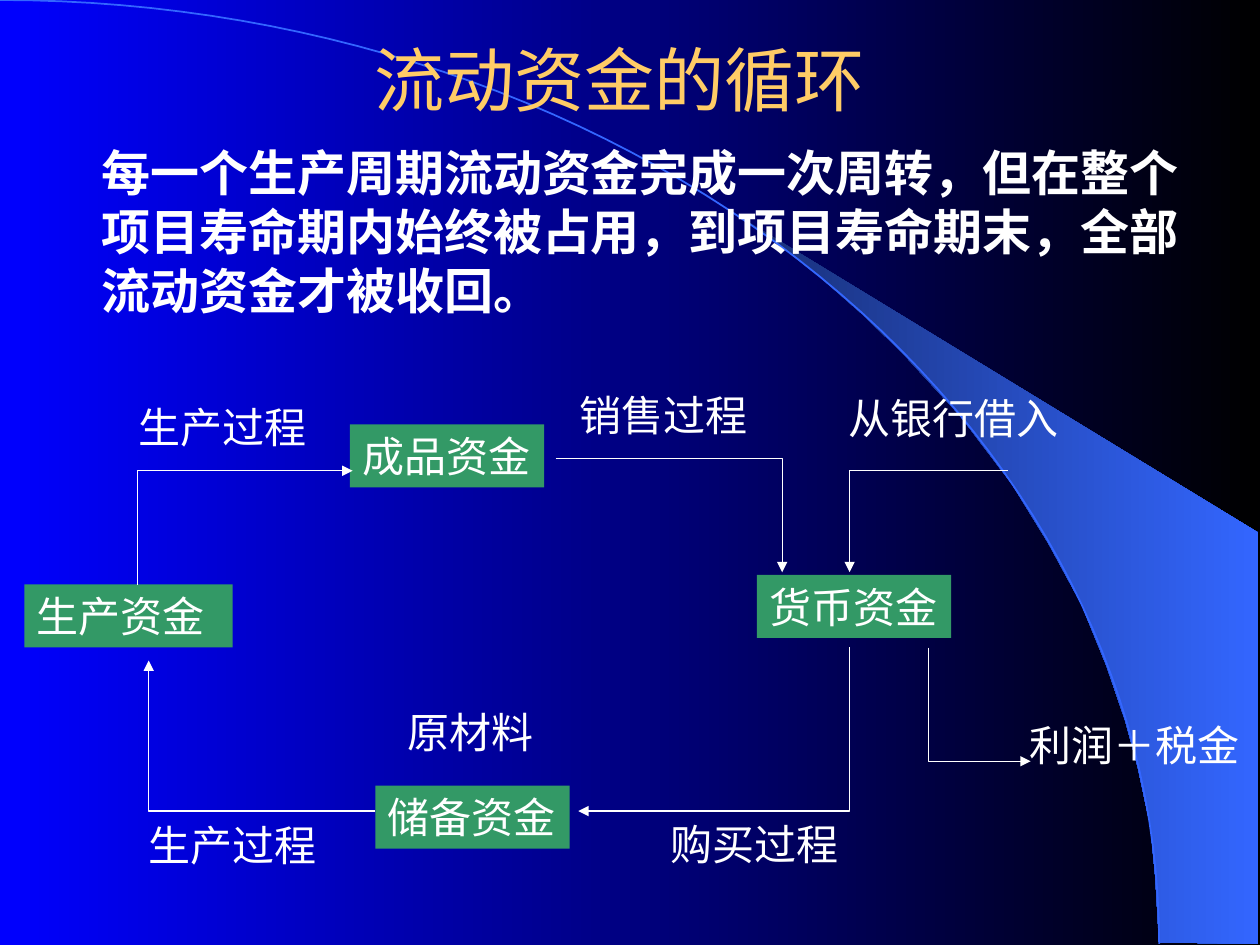
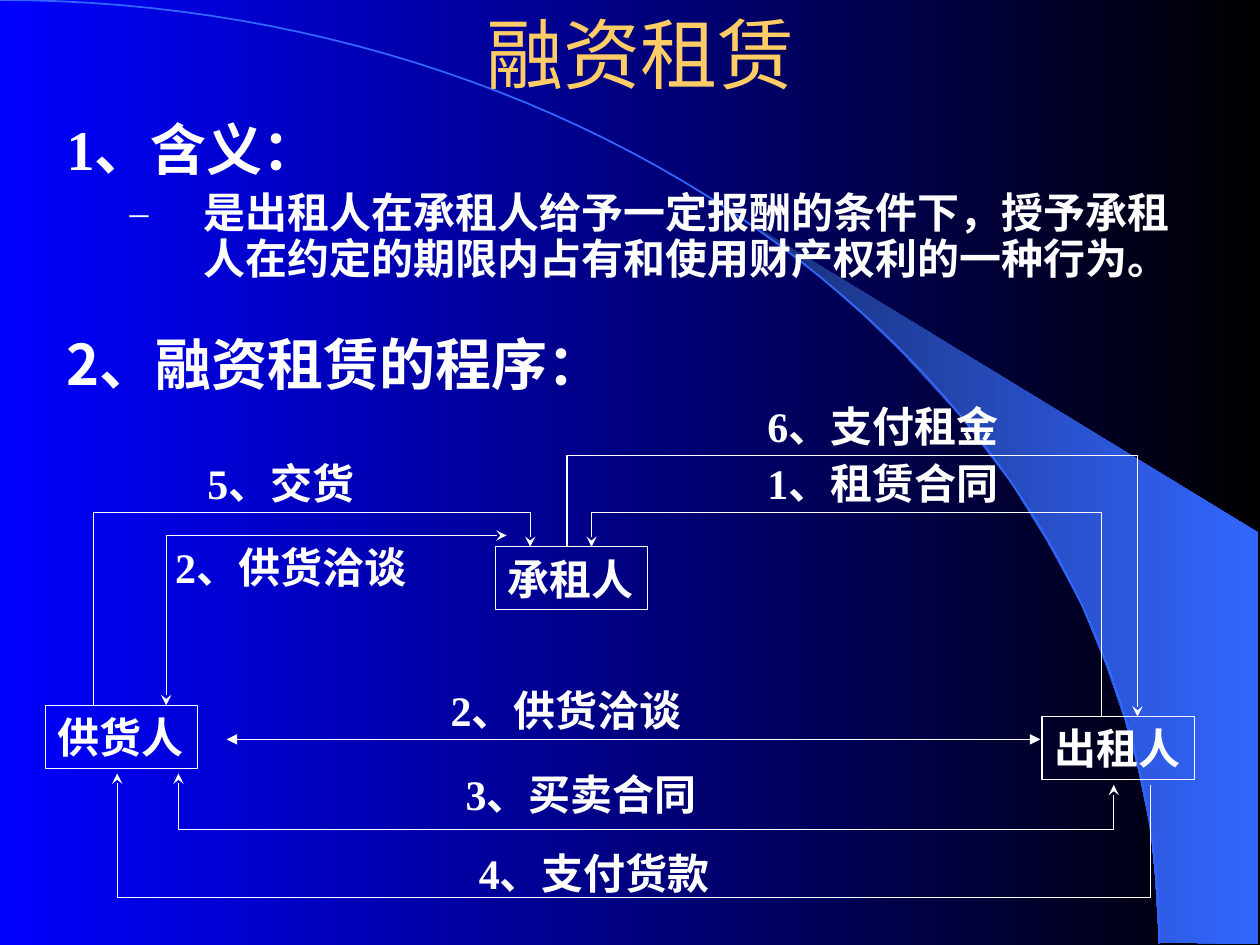
import math
import pptx
import pptx.dml.color
import pptx.enum.shapes
import pptx.enum.text
import pptx.oxml.ns
import pptx.util

Pt = pptx.util.Pt
RGB = pptx.dml.color.RGBColor.from_string
Align = pptx.enum.text.PP_ALIGN
Anchor = pptx.enum.text.MSO_ANCHOR
qn = pptx.oxml.ns.qn


class Theme:
    blue, black = RGB("0000FF"), RGB("000000")
    navy, sky = RGB("182F76"), RGB("3366FF")
    gold, white, green = RGB("FFCC66"), RGB("FFFFFF"), RGB("339966")
    serif, sans, hei = "Times New Roman", "Arial", "Noto Sans CJK SC"
    head, body, label = 32, 28, 24
    thin, arc = 0.75, 1


def write(para, text, size, font=Theme.serif, color=Theme.white, bold=False):
    """Add one run: the given font for Latin, the sans one for Chinese."""
    run = para.add_run()
    run.text = text
    run.font.size = Pt(size)
    run.font.bold = bold
    run.font.color.rgb = color
    run.font.name = font
    props = run._r.get_or_add_rPr()
    props.append(props.makeelement(qn("a:ea"), {"typeface": Theme.hei}))


def frame(slide, left, top, width, height):
    """Add a wrapping text box and return its text frame."""
    box = slide.shapes.add_textbox(Pt(left), Pt(top), Pt(width), Pt(height))
    box.text_frame.word_wrap = True
    return box.text_frame


deck = pptx.Presentation()
deck.slide_width, deck.slide_height = Pt(720), Pt(540)
blank = deck.slide_layouts[6]
cycle, lease = [deck.slides.add_slide(blank) for _ in range(2)]

# Shared backdrop: gradient, wedge and arc on the master
master = deck.slide_master
wedge = [(662.4, 538.6), (719.3, 539.3), (719.3, 304.6), (424.1, 124.6),
         (449.3, 143.3), (470.2, 159.8), (493.2, 180), (515.5, 201.6),
         (548.6, 237.6), (578.2, 276.5), (599, 310.3), (617.8, 344.9),
         (632.2, 380.2), (643, 411.8), (650.2, 438.5), (657.4, 472.3),
         (660.2, 501.1), (662.4, 538.6)]
steps = 60
turns = [math.pi / 2 * i / steps for i in range(steps + 1)]
arc = [(662.4 * math.sin(t), 539.3 * (1 - math.cos(t))) for t in turns]
decor = []
for points in (wedge, arc):
    first, *rest = [(Pt(x), Pt(y)) for x, y in points]
    path = cycle.shapes.build_freeform(*first)
    path.add_line_segments(rest, close=points is wedge)
    shape = path.convert_to_shape()
    shape.shadow.inherit = False
    decor.append(shape)
decor[0].line.fill.background()
decor[1].fill.background()
decor[1].line.color.rgb = Theme.sky
decor[1].line.width = Pt(Theme.arc)
for fill, start, end in ((master.background.fill, Theme.blue, Theme.black),
                         (decor[0].fill, Theme.navy, Theme.sky)):
    fill.gradient()
    fill.gradient_angle = 0
    for stop, color in zip(fill.gradient_stops, (start, end)):
        stop.color.rgb = color
for shape in decor:
    master.shapes.element.append(shape.element)

# Titles
for slide, text, size, font, left, width, height in (
        (cycle, "流动资金的循环", 40, Theme.hei, 48, 612, 90),
        (lease, "融资租赁", 44, Theme.sans, 54, 624, 60)):
    title = frame(slide, left, 0, width, height)
    title.vertical_anchor = Anchor.MIDDLE
    title.paragraphs[0].alignment = Align.CENTER
    write(title.paragraphs[0], text, size, font, Theme.gold)

# Body of the cycle slide
para = frame(cycle, 24, 78, 678, 114).paragraphs[0]
para._p.get_or_add_pPr().set("marL", str(Pt(27)))
write(para, "每一个生产周期流动资金完成一次周转，但在整个项目寿命期内始终被占用，"
      "到项目寿命期末，全部流动资金才被收回。", Theme.body, bold=True)

# Body of the lease slide
text = frame(lease, 31, 66, 663, 114)
para = text.paragraphs[0]
para.line_spacing = 0.9
write(para, "1、含义：", Theme.head, bold=True)
para = text.add_paragraph()
props = para._p.get_or_add_pPr()
props.set("marL", str(Pt(78)))
props.set("indent", str(Pt(-42)))
props.append(props.makeelement(qn("a:buSzPct"), {"val": "90000"}))
props.append(props.makeelement(qn("a:buFont"), {"typeface": Theme.serif}))
props.append(props.makeelement(qn("a:buChar"), {"char": "–"}))
para.line_spacing = 0.9
para.space_before = Pt(6)
write(para, "是出租人在承租人给予一定报酬的条件下，授予承租人在约定的期限内"
      "占有和使用财产权利的一种行为。", Theme.label, bold=True)
para = frame(lease, 31, 185, 663, 337).paragraphs[0]
write(para, "2、融资租赁的程序：", Theme.head, Theme.hei, bold=True)

# Boxes: text, left, top, width
funds = [("成品资金", 200, 242.5, 111), ("货币资金", 432.5, 328.5, 111),
         ("储备资金", 214.5, 449, 111), ("生产资金", 14, 334, 119)]
firms = [("承租人", 283, 312.5, 87), ("出租人", 595.5, 409.5, 87),
         ("供货人", 26, 403, 87)]

# Labels beside the arrows
flows = [("从银行借入", 478, 221, 135), ("购买过程", 376, 464, 111),
         ("生产过程", 78, 465, 111), ("生产过程", 72, 226, 111),
         ("销售过程", 324, 219, 111), ("利润＋税金", 581, 407.5, 135),
         ("原材料", 226, 400, 87)]
deals = [("1、租赁合同", 431.5, 258, 153), ("2、供货洽谈", 250.5, 387.5, 153),
         ("2、供货洽谈", 93, 306, 153), ("3、买卖合同", 259, 435.5, 153),
         ("4、支付货款", 266.5, 480.5, 153), ("5、交货", 111.5, 258, 105),
         ("6、支付租金", 431.5, 225.5, 153)]

for slide, boxes, notes in ((cycle, funds, flows), (lease, firms, deals)):
    for item in boxes + notes:
        text, left, top, width = item
        area = Pt(left), Pt(top), Pt(width), Pt(36)
        if item in boxes:
            rect = pptx.enum.shapes.MSO_SHAPE.RECTANGLE
            shape = slide.shapes.add_shape(rect, *area)
            shape.shadow.inherit = False
            if slide is cycle:
                shape.fill.solid()
                shape.fill.fore_color.rgb = Theme.green
                shape.line.fill.background()
            else:
                shape.fill.background()
                shape.line.color.rgb = Theme.white
                shape.line.width = Pt(Theme.thin)
        else:
            shape = slide.shapes.add_textbox(*area)
        body = shape.text_frame
        body.word_wrap = width == 119
        body.auto_size = pptx.enum.text.MSO_AUTO_SIZE.SHAPE_TO_FIT_TEXT
        body.vertical_anchor = Anchor.TOP
        body.paragraphs[0].alignment = Align.LEFT
        write(body.paragraphs[0], text, Theme.label, bold=slide is lease)

# Bent arrows: slide, two-headed, corner points
bends = [
    (cycle, False, [(576, 269), (485.5, 269), (485.5, 327)]),
    (cycle, False, [(485.5, 370), (485.5, 463.5), (330.5, 463.5)]),
    (cycle, False, [(214.5, 463.5), (85, 463.5), (85, 377.5)]),
    (cycle, False, [(78.5, 334), (78.5, 269), (201.5, 269)]),
    (cycle, False, [(317.5, 262), (447, 262), (447, 327)]),
    (cycle, False, [(530.5, 370), (530.5, 435), (589, 435)]),
    (lease, False, [(629.5, 409.5), (629.5, 293), (338, 293), (338, 312.5)]),
    (lease, True, [(95, 403), (95, 306), (289.5, 306)]),
    (lease, True, [(102, 442), (102, 474), (636.5, 474), (636.5, 448.5)]),
    (lease, False, [(657.5, 448.5), (657.5, 513), (67, 513), (67, 442)]),
    (lease, False, [(53.5, 403), (53.5, 293), (303, 293), (303, 312.5)]),
    (lease, False, [(324, 312.5), (324, 260.5), (650, 260.5), (650, 409.5)]),
]
lines = []
for slide, double, points in bends:
    first, *rest = [(Pt(x), Pt(y)) for x, y in points]
    path = slide.shapes.build_freeform(*first)
    path.add_line_segments(rest, close=False)
    shape = path.convert_to_shape()
    shape.shadow.inherit = False
    shape.fill.background()
    lines.append((shape, double, "triangle" if slide is cycle else "stealth"))

# Straight arrow between supplier and lessor
link = lease.shapes.add_connector(pptx.enum.shapes.MSO_CONNECTOR.STRAIGHT,
                                  Pt(129.5), Pt(422.5), Pt(594.5), Pt(422.5))
lines.append((link, True, "triangle"))

# Line style and arrowheads
for shape, double, kind in lines:
    shape.line.color.rgb = Theme.white
    shape.line.width = Pt(Theme.thin)
    props = shape.element.spPr
    stroke = props.find(qn("a:ln"))
    for end in ("a:headEnd", "a:tailEnd")[0 if double else 1:]:
        stroke.append(stroke.makeelement(qn(end), {"type": kind}))
    if shape is link:
        props.append(props.makeelement(qn("a:effectLst"), {}))

deck.save("out.pptx")
